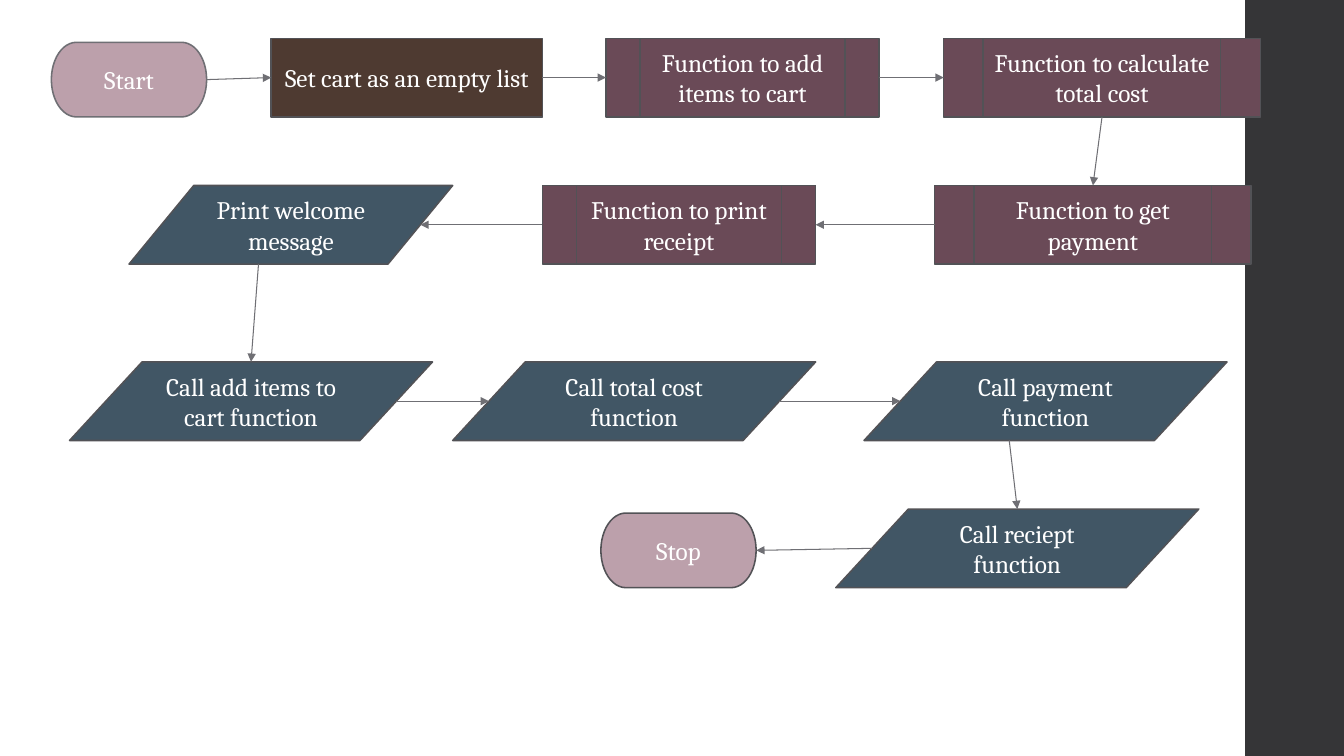
from dataclasses import dataclass

from pptx import Presentation
from pptx.dml.color import RGBColor
from pptx.enum import shapes, text
from pptx.oxml import parse_xml
from pptx.oxml.ns import nsdecls
from pptx.util import Inches, Pt


@dataclass(frozen=True)
class Theme:
    font: str = "Cambria"
    size: float = 18
    ink: str = "FFFFFF"
    sidebar: str = "353537"
    outline: str = "525256"
    arrow: str = "6F6F74"
    outline_width: float = 1.1
    arrow_width: float = 0.75


THEME = Theme()
KINDS = {
    "terminal": (shapes.MSO_SHAPE.FLOWCHART_TERMINATOR, "BCA0AB", 0.74),
    "process": (shapes.MSO_SHAPE.FLOWCHART_PROCESS, "4E3A31", 0.78),
    "function": (shapes.MSO_SHAPE.FLOWCHART_PREDEFINED_PROCESS, "6A4A57", 0.78),
    "call": (shapes.MSO_SHAPE.FLOWCHART_DATA, "415665", 0.78),
}
STEPS = [
    ("Start", "terminal", 0.51, 0.42, 1.54),
    ("Set cart as an empty list", "process", 2.69, 0.38, 2.69),
    ("Function to add items to cart", "function", 6.01, 0.38, 2.71),
    ("Function to calculate total cost", "function", 9.36, 0.38, 3.14),
    ("Function to get payment", "function", 9.27, 1.84, 3.14),
    ("Function to print receipt", "function", 5.38, 1.84, 2.71),
    ("Print welcome message", "call", 1.28, 1.84, 3.21),
    ("Call add items to cart function", "call", 0.69, 3.59, 3.6),
    ("Call total cost function", "call", 4.49, 3.59, 3.6),
    ("Call payment function", "call", 8.57, 3.59, 3.6),
    ("Call reciept function", "call", 8.29, 5.05, 3.6),
    ("Stop", "terminal", 5.96, 5.09, 1.54),
]
TOP, LEFT, BOTTOM, RIGHT = range(4)
ROUTES = ([(RIGHT, LEFT)] * 3 + [(BOTTOM, TOP)] + [(LEFT, RIGHT)] * 2
          + [(BOTTOM, TOP)] + [(RIGHT, LEFT)] * 2 + [(BOTTOM, TOP), (LEFT, RIGHT)])
BOX_SITES = {TOP: (0.5, 0), LEFT: (0, 0.5), BOTTOM: (0.5, 1), RIGHT: (1, 0.5)}
SLANTED_SITES = {TOP: (0.5, 0), LEFT: (0.1, 0.5), BOTTOM: (0.4, 1), RIGHT: (0.9, 0.5)}


def add_block(slide, preset, fill, left, top, width, height):
    block = slide.shapes.add_shape(
        preset, Inches(left), Inches(top), Inches(width), Inches(height))
    block.shadow.inherit = False
    block.fill.solid()
    block.fill.fore_color.rgb = RGBColor.from_string(fill)
    block.line.fill.background()
    return block


def add_step(slide, label, kind, left, top, width):
    preset, fill, height = KINDS[kind]
    step = add_block(slide, preset, fill, left, top, width, height)
    outline = THEME.arrow if label == "Start" else THEME.outline
    step.line.color.rgb = RGBColor.from_string(outline)
    step.line.width = Pt(THEME.outline_width)
    frame = step.text_frame
    frame.text = label
    frame.word_wrap = True
    frame.vertical_anchor = text.MSO_ANCHOR.MIDDLE
    paragraph = frame.paragraphs[0]
    paragraph.alignment = text.PP_ALIGN.CENTER
    font = paragraph.runs[0].font
    font.name, font.size = THEME.font, Pt(THEME.size)
    font.color.rgb = RGBColor.from_string(THEME.ink)
    return step


def site_point(step, kind, side):
    across, down = (SLANTED_SITES if kind == "call" else BOX_SITES)[side]
    return round(step.left + across * step.width), round(step.top + down * step.height)


def add_arrow(slide, source, source_kind, target, target_kind, route):
    leaving, entering = route
    arrow = slide.shapes.add_connector(
        shapes.MSO_CONNECTOR.STRAIGHT,
        *site_point(source, source_kind, leaving),
        *site_point(target, target_kind, entering))
    if source_kind != "call":
        arrow.begin_connect(source, leaving)
    if target_kind != "call":
        arrow.end_connect(target, entering)
    arrow.line.color.rgb = RGBColor.from_string(THEME.arrow)
    arrow.line.width = Pt(THEME.arrow_width)
    arrow.line._get_or_add_ln().append(
        parse_xml(f'<a:tailEnd {nsdecls("a")} type="triangle"/>'))
    arrow._element.spPr.append(parse_xml(f'<a:effectLst {nsdecls("a")}/>'))


def main():
    deck = Presentation()
    deck.slide_width, deck.slide_height = Inches(13.33), Inches(7.5)
    slide = deck.slides.add_slide(deck.slide_layouts[6])
    add_block(slide, shapes.MSO_SHAPE.RECTANGLE, THEME.sidebar, 12.35, 0, 1, 7.5)
    flow = [(add_step(slide, *step), step[1]) for step in STEPS]
    for source, target, route in zip(flow, flow[1:], ROUTES):
        add_arrow(slide, *source, *target, route)
    deck.save("out.pptx")


if __name__ == "__main__":
    main()
